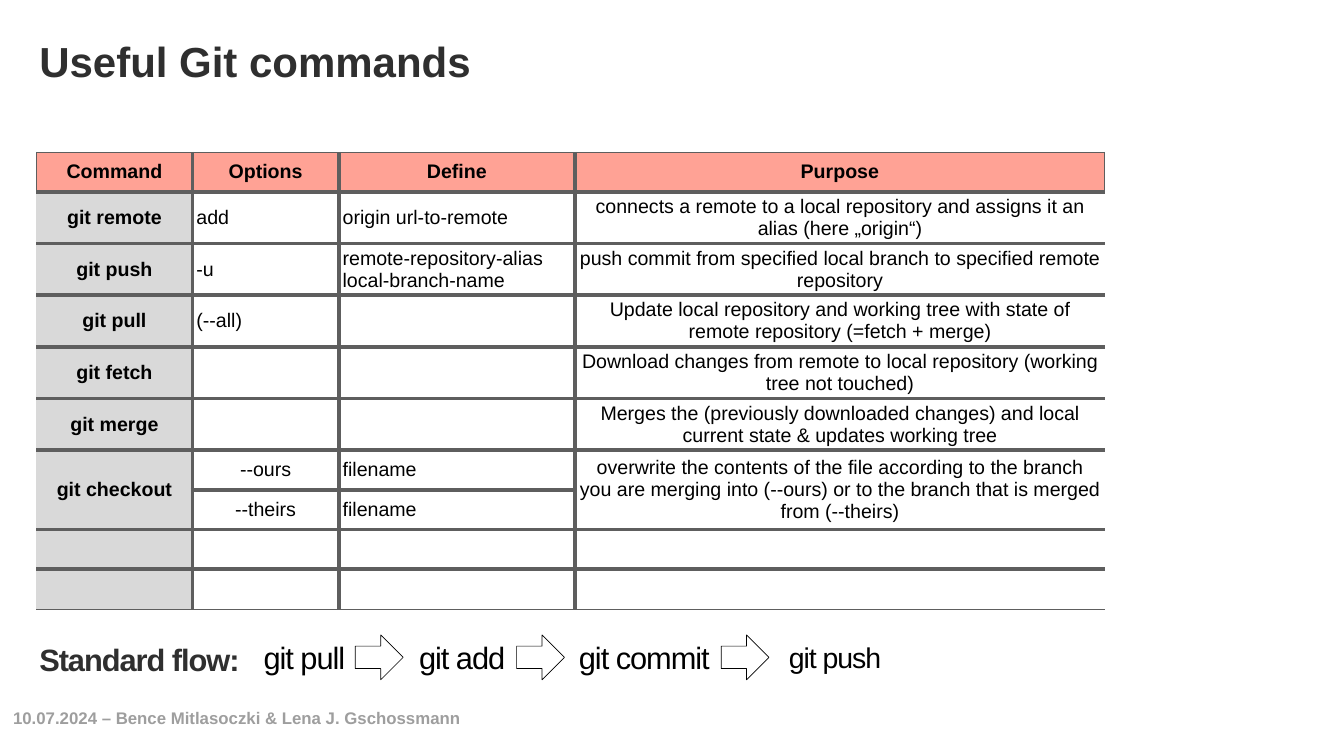
"""Build the slide on useful Git commands with its command table and standard flow."""
from pptx import Presentation
from pptx.dml.color import RGBColor
from pptx.enum.shapes import MSO_SHAPE as Preset
from pptx.enum.text import MSO_ANCHOR as Anchor, MSO_AUTO_SIZE as AutoSize, PP_ALIGN as Align
from pptx.oxml.ns import qn
from pptx.util import Cm, Pt
from lxml.etree import SubElement

BLACK = RGBColor(0x00, 0x00, 0x00)
WHITE = RGBColor(0xFF, 0xFF, 0xFF)
CHARCOAL = RGBColor(0x2F, 0x2F, 0x2F)
RULE = RGBColor(0x5E, 0x5E, 0x5E)
MUTED = RGBColor(0x9E, 0x9E, 0x9E)
SALMON = RGBColor(0xFF, 0xA2, 0x95)
SILVER = RGBColor(0xD9, 0xD9, 0xD9)

COLUMN_WIDTHS = (7.87, 7.37, 11.91, 26.7)
ROW_HEIGHT = 2
THIN, THICK = 1, 6
COMMANDS = [
    ("Command", "Options", "Define", "Purpose"),
    ("git remote", "add", "origin url-to-remote",
     "connects a remote to a local repository and assigns it an alias (here „origin“)"),
    ("git push", "-u", "remote-repository-alias local-branch-name",
     "push commit from specified local branch to specified remote repository"),
    ("git pull", "(--all)", "",
     "Update local repository and working tree with state of remote repository (=fetch + merge)"),
    ("git fetch", "", "",
     "Download changes from remote to local repository (working tree not touched)"),
    ("git merge", "", "",
     "Merges the (previously downloaded changes) and local current state & updates working tree"),
    ("git checkout", "--ours", "filename",
     "overwrite the contents of the file according to the branch you are merging into (--ours) "
     "or to the branch that is merged from (--theirs)"),
    ("", "--theirs", "filename", ""),
    ("", "", "", ""),
    ("", "", "", ""),
]
CHECKOUT_ROW = 6
FLOW_STEPS = [
    ("git pull", 12.73, 5.23, 44),
    ("git add", 20.68, 5.23, 44),
    ("git commit", 27.58, 9.8, 44),
    ("git push", 39.47, 5.23, 40.7),
]
FLOW_ARROWS = (17.91, 26.04, 36.35)
FLOW_TOP = 31.52


class SlideBuilder:
    """Holds the style and the current slide."""

    font = "Arial"

    def __init__(self, slide):
        self.slide = slide

    def add_wording(self, paragraph, wording, size, color, bold=False, spacing=0):
        run = paragraph.add_run()
        run.text = wording
        run.font.name = self.font
        run.font.size = Pt(size)
        run.font.bold = bold
        run.font.color.rgb = color
        if spacing:
            run.font._element.set("spc", str(spacing))

    def text(self, wording, box, size, color, bold=False, spacing=0, align=Align.LEFT,
             anchor=Anchor.MIDDLE, inset=0.15, group=None):
        shapes = (group or self.slide).shapes
        frame = shapes.add_textbox(*map(Cm, box)).text_frame
        frame.word_wrap = True
        frame.auto_size = AutoSize.NONE
        frame.vertical_anchor = anchor
        frame.margin_left = frame.margin_right = Cm(inset)
        frame.margin_top = frame.margin_bottom = Cm(inset)
        frame.paragraphs[0].alignment = align
        self.add_wording(frame.paragraphs[0], wording, size, color, bold, spacing)

    def arrow(self, box, group):
        arrow = group.shapes.add_shape(Preset.RIGHT_ARROW, *map(Cm, box))
        arrow.shadow.inherit = False
        arrow.fill.background()
        arrow.line.color.rgb = BLACK
        arrow.line.width = Pt(1)

    def borders(self, cell, widths):
        properties = cell._tc.get_or_add_tcPr()
        for place, (side, width) in enumerate(zip("LRTB", widths)):
            line = SubElement(properties, qn(f"a:ln{side}"), w=str(Pt(width)))
            if width:
                fill = SubElement(line, qn("a:solidFill"))
                SubElement(fill, qn("a:srgbClr"), val=str(RULE))
            else:
                SubElement(line, qn("a:noFill"))
            properties.insert(place, line)

    def cell(self, cell, wording, fill, bold, align):
        cell.fill.solid()
        cell.fill.fore_color.rgb = fill
        cell.vertical_anchor = Anchor.MIDDLE
        cell.margin_left = cell.margin_right = Cm(0.2)
        cell.margin_top = cell.margin_bottom = Cm(0.2)
        paragraph = cell.text_frame.paragraphs[0]
        paragraph.alignment = align
        if wording:
            self.add_wording(paragraph, wording, 28, BLACK, bold)

    def command_table(self, left, top):
        last_row, last_column = len(COMMANDS) - 1, len(COLUMN_WIDTHS) - 1
        table = self.slide.shapes.add_table(
            len(COMMANDS), len(COLUMN_WIDTHS), Cm(left), Cm(top),
            Cm(sum(COLUMN_WIDTHS)), Cm(ROW_HEIGHT * len(COMMANDS))).table
        table.horz_banding = False
        for column, width in zip(table.columns, COLUMN_WIDTHS):
            column.width = Cm(width)
        for r, row in enumerate(COMMANDS):
            table.rows[r].height = Cm(ROW_HEIGHT)
            header = r == 0
            outer = THIN if header else 0
            for c, wording in enumerate(row):
                fill = SALMON if header else SILVER if c == 0 else WHITE
                centred = header or c in (0, last_column) or (c == 1 and r >= CHECKOUT_ROW)
                align = Align.CENTER if centred else Align.LEFT
                cell = table.cell(r, c)
                self.cell(cell, wording, fill, header or c == 0, align)
                self.borders(cell, (outer if c == 0 else THICK,
                                    outer if c == last_column else THICK,
                                    THIN if header else THICK,
                                    THIN if r == last_row else THICK))
        for c in (0, last_column):
            table.cell(CHECKOUT_ROW, c).merge(table.cell(CHECKOUT_ROW + 1, c))

    def flow(self):
        group = self.slide.shapes.add_group_shape()
        for left in FLOW_ARROWS:
            self.arrow((left, 32, 2.41, 2.26), group)
        for step, left, width, size in FLOW_STEPS:
            self.text(step, (left, FLOW_TOP, width, 3.23), size, BLACK, spacing=-150,
                      align=Align.CENTER, group=group)


def main():
    deck = Presentation()
    deck.slide_width, deck.slide_height = Cm(67.74), Cm(38.1)
    builder = SlideBuilder(deck.slides.add_slide(deck.slide_layouts[6]))
    builder.text("10.07.2024 – Bence Mitlasoczki & Lena J. Gschossmann",
                 (0.53, 35.56, 61.04, 1.78), 24, MUTED, bold=True,
                 anchor=Anchor.TOP, inset=0.13)
    builder.text("Useful Git commands", (1.83, 1.65, 30.86, 2.84), 60, CHARCOAL, bold=True)
    builder.command_table(1.83, 7.67)
    builder.flow()
    builder.text("Standard flow:", (1.83, 31.62, 15.29, 3.23), 44, CHARCOAL,
                 bold=True, spacing=-150)
    deck.save("out.pptx")


if __name__ == "__main__":
    main()
